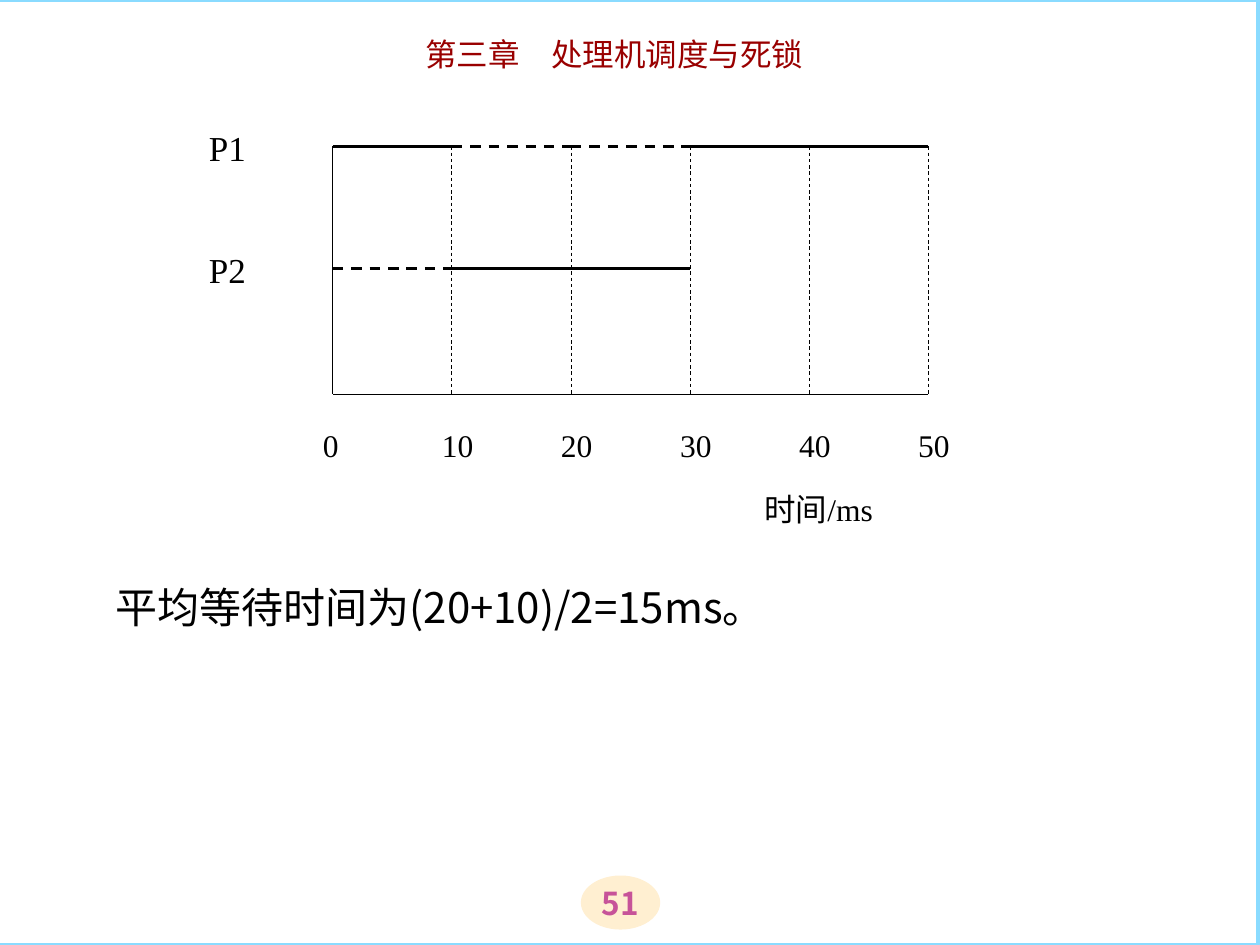
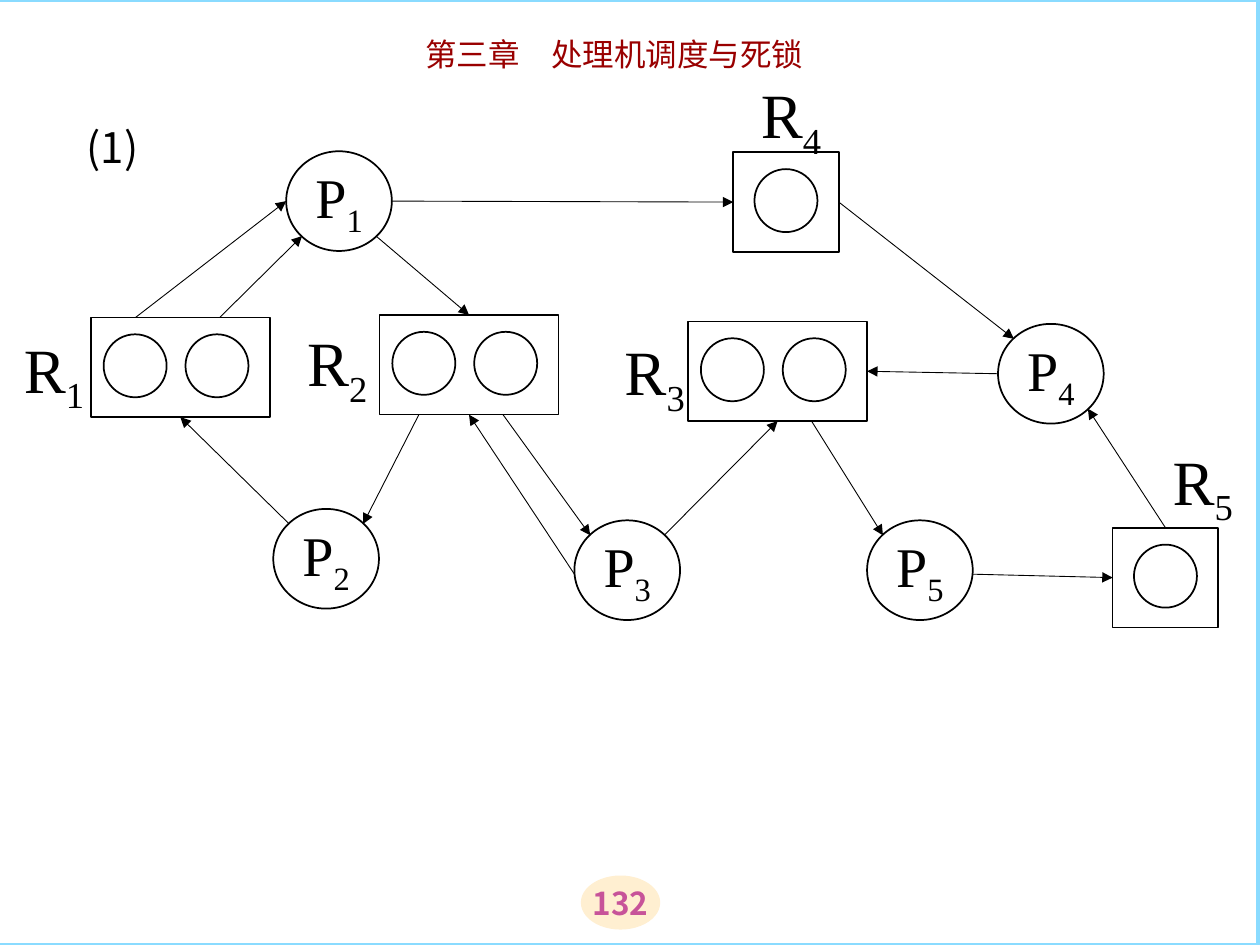
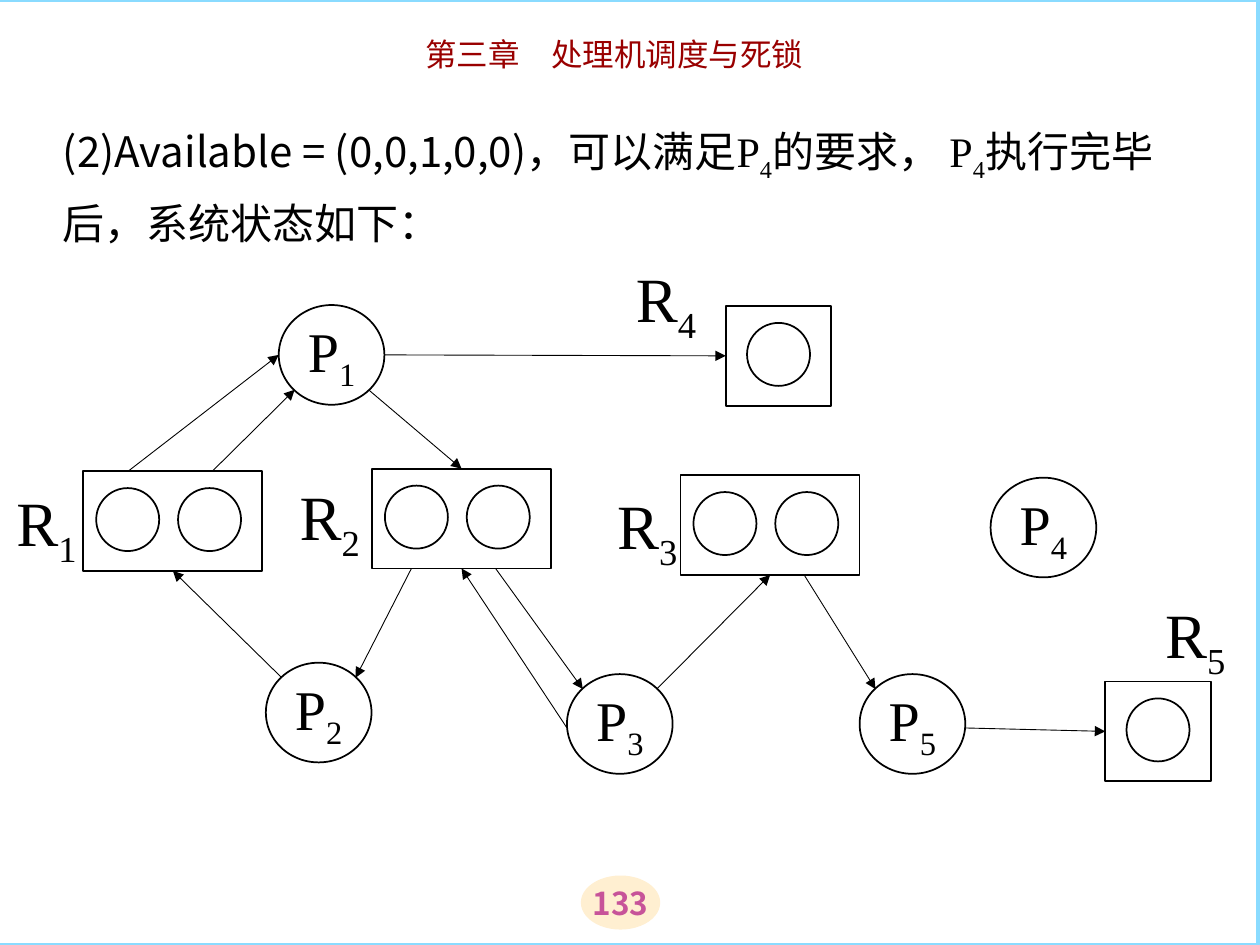
"""Build three lecture slides on processor scheduling and deadlock."""
from lxml import etree
from pptx import Presentation
from pptx import util as u
from pptx.dml import color
from pptx.enum import dml, shapes, text
from pptx.oxml import ns

COLOURS = {
    "ink": "000000",
    "paper": "FFFFFF",
    "chapter": "990000",
    "frame": "8ADBFF",
    "badge": "FFEFD1",
    "number": "C75399",
}
SANS = "Noto Sans CJK SC"
CHAPTER_FONT = "Noto Sans CJK JP"
SERIF = "Times New Roman"

AXIS_LEFT, AXIS_STEP, AXIS_TOP, AXIS_BASE = 6.71, 2.4, 2.95, 7.95
TICKS = range(0, 60, 10)
ROWS = {"P1": 2.95, "P2": 5.41}
PERIODS = [
    ("P1", 0, 1, "run"), ("P1", 1, 2, "wait"), ("P1", 2, 3, "wait"), ("P1", 3, 5, "run"),
    ("P2", 0, 1, "wait"), ("P2", 1, 2, "run"), ("P2", 2, 3, "run"),
]

NODE_WIDTH, NODE_HEIGHT, WIDE_RESOURCE = 2.13, 2.01, 3.61
TOKEN_SIZE, TOKEN_STEP, TOKEN_TOP = 1.27, 1.65, 0.34
PROCESSES = {
    "P1": (5.77, 3.05), "P2": (5.51, 10.26), "P3": (11.58, 10.49),
    "P4": (20.12, 6.53), "P5": (17.48, 10.49),
}
RESOURCES = {
    "R1": (1.83, 6.4, 2), "R2": (7.65, 6.35, 2), "R3": (13.87, 6.48, 2),
    "R4": (14.78, 3.07, 1), "R5": (22.43, 10.64, 1),
}
LABELS = {
    "R1": (0.23, 6.53), "R2": (5.94, 6.4), "R3": (12.34, 6.58),
    "R4": (15.09, 1.4), "R5": (23.39, 8.79),
}
SIDES = {"top": 0, "left": 1, "bottom": 2, "right": 3}
PORTS = {
    "top": (0.5, 0), "left": (0, 0.5), "bottom": (0.5, 1), "right": (1, 0.5),
    "nw": (0.15, 0.15), "ne": (0.85, 0.15), "sw": (0.15, 0.85), "se": (0.85, 0.85),
    "top early": (0.25, 0), "top late": (0.72, 0),
    "bottom early": (0.22, 1), "bottom late": (0.69, 1),
    "left low": (0, 0.54), "right low": (1, 0.54),
}
EDGES = [
    ("R1", "top early", "P1", "left"), ("R1", "top late", "P1", "sw"),
    ("P1", "se", "R2", "top"), ("P1", "right", "R4", "left"),
    ("P2", "nw", "R1", "bottom"), ("R2", "bottom early", "P2", "ne"),
    ("R2", "bottom late", "P3", "nw"), ("P3", "left low", "R2", "bottom"),
    ("P3", "ne", "R3", "bottom"), ("R3", "bottom late", "P5", "nw"),
    ("P5", "right low", "R5", "left"),
]
P4_EDGES = [
    ("R5", "top", "P4", "se"), ("P4", "left", "R3", "right"), ("R4", "right", "P4", "nw"),
]


def rgb(name):
    """Return the named colour."""
    return color.RGBColor.from_string(COLOURS[name])


def apply(target, formats):
    """Set every format value on the target."""
    for name, value in formats.items():
        setattr(target, name, value)


def write(box, spans, align=text.PP_ALIGN.LEFT, spacing=1.0, ink="ink", bold=False):
    """Write one paragraph of (words, size, font, subscript) spans."""
    para = box.text_frame.paragraphs[0]
    apply(para, {"alignment": align, "line_spacing": spacing})
    for words, size, font, subscript in spans:
        span = para.add_run()
        span.text = words
        apply(span.font, {"name": font, "size": u.Pt(size), "bold": bold})
        span.font.color.rgb = rgb(ink)
        properties = span._r.get_or_add_rPr()
        east = etree.SubElement(properties, ns.qn("a:ea"))
        east.set("typeface", SANS if font == SERIF else font)
        if subscript:
            properties.set("baseline", "-25000")


def symbol(name, size):
    """Return the spans of a letter with its subscript number."""
    return [(name[0], size, SERIF, False), (name[1:], size, SERIF, True)]


def add_text(page, left, top, width, height, spans, wrap=True, **style):
    """Add a text box."""
    box = page.shapes.add_textbox(u.Cm(left), u.Cm(top), u.Cm(width), u.Cm(height))
    box.text_frame.word_wrap = wrap
    write(box, spans, **style)


def add_figure(page, kind, left, top, width, height, fill="paper", line="ink", weight=1):
    """Add a flat preset shape; a fill or line of None is left off."""
    figure = page.shapes.add_shape(kind, u.Cm(left), u.Cm(top), u.Cm(width), u.Cm(height))
    figure.shadow.inherit = False
    if fill:
        figure.fill.solid()
        figure.fill.fore_color.rgb = rgb(fill)
    else:
        figure.fill.background()
    if line:
        figure.line.color.rgb = rgb(line)
        figure.line.width = u.Pt(weight)
    else:
        figure.line.fill.background()
    return figure


def add_line(page, start, end, weight=0.5, dashed=False, arrow=False):
    """Add a straight connector between two points in centimetres."""
    line = page.shapes.add_connector(
        shapes.MSO_CONNECTOR.STRAIGHT, *(u.Cm(value) for value in (*start, *end)))
    line.line.color.rgb = rgb("ink")
    line.line.width = u.Pt(weight)
    if dashed:
        line.line.dash_style = dml.MSO_LINE.DASH
    properties = line._element.spPr
    if arrow:
        etree.SubElement(properties.find(ns.qn("a:ln")), ns.qn("a:tailEnd")).set("type", "triangle")
    etree.SubElement(properties, ns.qn("a:effectLst"))
    return line


def add_page(deck, number):
    """Add a page with its number badge, frame and chapter heading."""
    page = deck.slides.add_slide(deck.slide_layouts[6])
    centre = text.PP_ALIGN.CENTER
    badge = add_figure(page, shapes.MSO_SHAPE.OVAL, 11.71, 17.65, 1.6, 1.09, "badge", None)
    margins = dict.fromkeys(("margin_left", "margin_top", "margin_right", "margin_bottom"), 0)
    apply(badge.text_frame, {
        **margins, "word_wrap": False, "vertical_anchor": text.MSO_ANCHOR.MIDDLE})
    write(badge, [(str(number), 18, SANS, False)], centre, ink="number", bold=True)
    add_figure(page, shapes.MSO_SHAPE.RECTANGLE, -0.03, 0, 25.4, 19.05, None, "frame", 2.25)
    add_text(page, 5.28, 0.58, 14.2, 1.02,
             [("第三章　处理机调度与死锁", 18, CHAPTER_FONT, False)], align=centre, ink="chapter")
    return page


def add_schedule(page):
    """Draw the run and wait periods of both processes over time."""
    def tick_x(index):
        """Return the horizontal place of a tick."""
        return AXIS_LEFT + index * AXIS_STEP

    add_line(page, (AXIS_LEFT, AXIS_BASE), (tick_x(5), AXIS_BASE))
    for index, tick in enumerate(TICKS):
        add_line(page, (tick_x(index), AXIS_TOP), (tick_x(index), AXIS_BASE), dashed=index > 0)
        add_text(page, tick_x(index) - 0.45, 8.46, 1.35, 1.02,
                 [(str(tick), 18, SERIF, False)], wrap=False)
    for name, first, last, state in PERIODS:
        add_line(page, (tick_x(first), ROWS[name]), (tick_x(last), ROWS[name]),
                 weight=1.5, dashed=state == "wait")
    for name, height in ROWS.items():
        add_text(page, 3.96, height - 0.53, 1.55, 1.12, [(name, 20, SERIF, False)])
    add_text(page, 15.16, 9.75, 3.53, 1.02, [("时间/ms", 18, SERIF, False)])


def add_process(page, name, left, top):
    """Add a process circle with its symbol."""
    circle = add_figure(page, shapes.MSO_SHAPE.OVAL, left, top, NODE_WIDTH, NODE_HEIGHT)
    apply(circle.text_frame, {"word_wrap": False, "vertical_anchor": text.MSO_ANCHOR.MIDDLE})
    write(circle, symbol(name, 32), text.PP_ALIGN.CENTER)
    return circle


def add_resource(page, left, top, count):
    """Add a resource rectangle with one circle for each unit."""
    width, inset = (WIDE_RESOURCE, 0.26) if count == 2 else (NODE_WIDTH, 0.43)
    box = add_figure(page, shapes.MSO_SHAPE.RECTANGLE, left, top, width, NODE_HEIGHT)
    for index in range(count):
        add_figure(page, shapes.MSO_SHAPE.FLOWCHART_CONNECTOR, left + inset + index * TOKEN_STEP,
                   top + TOKEN_TOP, TOKEN_SIZE, TOKEN_SIZE)
    return box


def port_point(node, port):
    """Return the place of a port on a node in centimetres."""
    across, down = PORTS[port]
    return (node.left + across * node.width) / u.Cm(1), (node.top + down * node.height) / u.Cm(1)


def add_edge(page, nodes, source, source_port, target, target_port):
    """Draw an arrow between two nodes, joined at resource side middles."""
    arrow = add_line(page, port_point(nodes[source], source_port),
                     port_point(nodes[target], target_port), arrow=True)
    if source in RESOURCES and source_port in SIDES:
        arrow.begin_connect(nodes[source], SIDES[source_port])
    if target in RESOURCES and target_port in SIDES:
        arrow.end_connect(nodes[target], SIDES[target_port])


def add_graph(page, edges, labels, right=0, down=0):
    """Draw the resource allocation graph, moved by the given distances."""
    nodes = {}
    for name, (left, top, count) in RESOURCES.items():
        nodes[name] = add_resource(page, left + right, top + down, count)
    for name, (left, top) in PROCESSES.items():
        nodes[name] = add_process(page, name, left + right, top + down)
    for edge in edges:
        add_edge(page, nodes, *edge)
    for name, (left, top) in labels.items():
        add_text(page, left + right, top + down, 1.83, 1.8, symbol(name, 36), wrap=False)


def main():
    """Build the deck and save it."""
    deck = Presentation()
    apply(deck, {"slide_width": u.Cm(25.4), "slide_height": u.Cm(19.05)})

    page = add_page(deck, 51)
    add_schedule(page)
    add_text(page, 2.08, 11.1, 22.81, 3.99,
             [("平均等待时间为(20+10)/2=15ms。", 24, SANS, False)], spacing=1.5)

    page = add_page(deck, 132)
    add_text(page, 1.5, 2.03, 22.81, 1.8, [("(1)", 24, SANS, False)], spacing=1.3)
    add_graph(page, EDGES + P4_EDGES, LABELS)

    page = add_page(deck, 133)
    add_text(page, 1.02, 2.06, 22.81, 3.1, [
        ("(2)Available = (0,0,1,0,0)，可以满足", 24, SANS, False),
        *symbol("P4", 24),
        ("的要求， ", 24, SANS, False),
        *symbol("P4", 24),
        ("执行完毕后，系统状态如下：", 24, SANS, False),
    ], spacing=1.3)
    add_graph(page, EDGES, {**LABELS, "R4": (12.72, 2.01)}, right=-0.15, down=3.1)

    deck.save("out.pptx")


if __name__ == "__main__":
    main()
